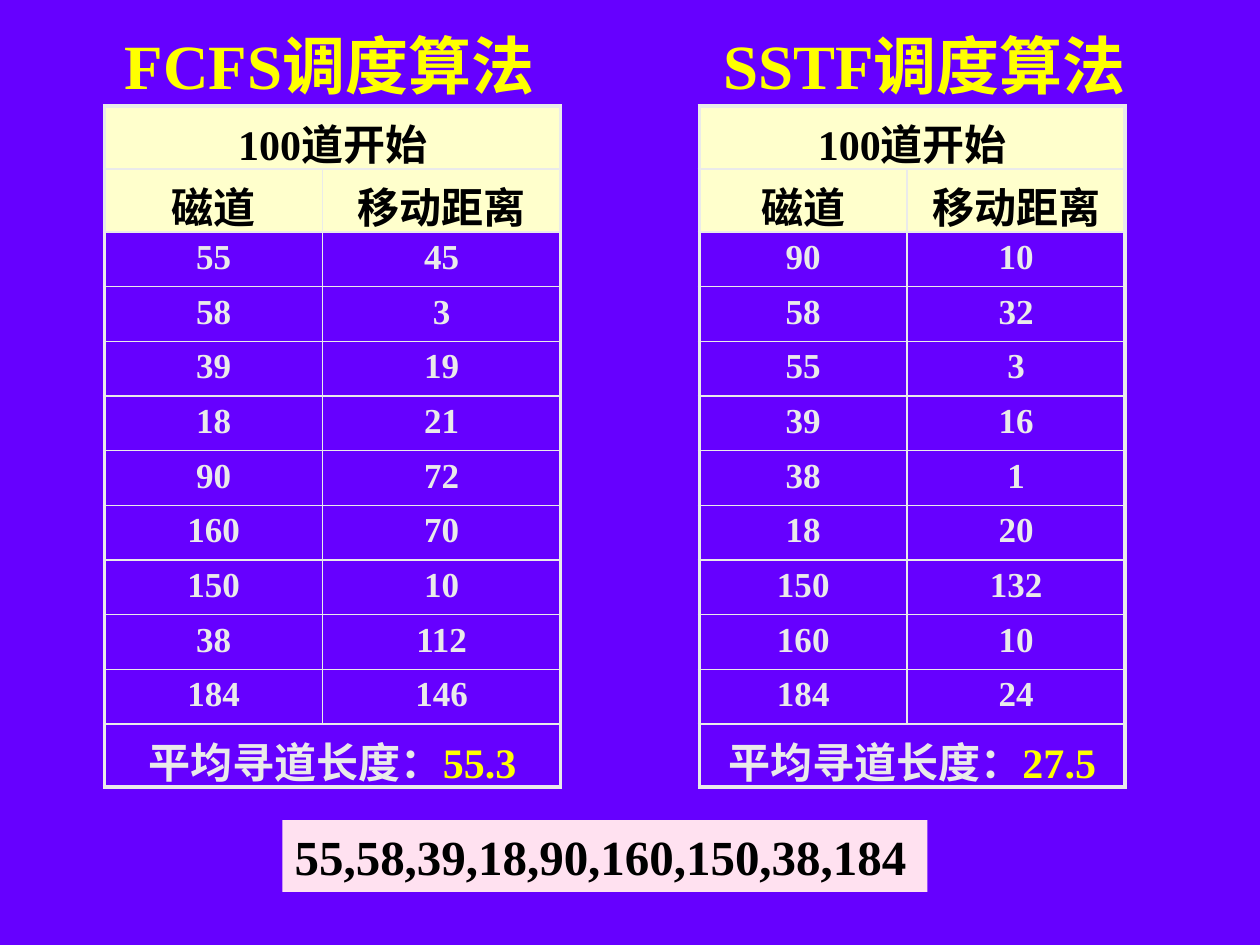
"""Compare FCFS and SSTF disk scheduling on one slide."""
from lxml.etree import SubElement
from pptx import Presentation
from pptx.dml.color import RGBColor
from pptx.enum.shapes import MSO_SHAPE
from pptx.enum.text import MSO_ANCHOR, PP_ALIGN
from pptx.oxml.ns import qn
from pptx.util import Inches, Pt

REQUESTS = "55,58,39,18,90,160,150,38,184"
START = 100
FCFS_ORDER = [int(track) for track in REQUESTS.split(",")]
FCFS_MOVES = [45, 3, 19, 21, 72, 70, 10, 112, 146]
SSTF_ORDER = [90, 58, 55, 39, 38, 18, 150, 160, 184]
SSTF_MOVES = [10, 32, 3, 16, 1, 20, 132, 10, 24]


def rgb(code):
    return RGBColor.from_string(code)


class SchedulingSlide:
    """Holds the style and the current slide."""

    typeface = "Times New Roman"
    ground, header, strip = "6600FF", "FFFFCC", "FFE1F0"
    dark, light, accent = "000000", "EAEAEA", "FFFF00"
    outer, inner = 2.25, 1

    def __init__(self, deck):
        self.slide = deck.slides.add_slide(deck.slide_layouts[6])
        background = self.slide.background.fill
        background.solid()
        background.fore_color.rgb = rgb(self.ground)

    def style(self, paragraph, size, color, align=PP_ALIGN.LEFT):
        paragraph.alignment = align
        font = paragraph.font
        font.name, font.size, font.bold = self.typeface, Pt(size), True
        font.color.rgb = rgb(color)

    def headings(self, first, second):
        frame = self.slide.shapes.add_textbox(
            Inches(0.27), Inches(0.21), Inches(9.21), Inches(0.6)).text_frame
        frame.word_wrap = True
        frame.vertical_anchor = MSO_ANCHOR.MIDDLE
        frame.margin_left, frame.margin_right = Inches(0.72), 0
        heading = frame.paragraphs[0]
        heading.text = f"{first}\t{second}"
        stops = SubElement(heading._p.get_or_add_pPr(), qn("a:tabLst"))
        SubElement(stops, qn("a:tab"), pos=str(Inches(4.75)), algn="l")
        self.style(heading, 36, self.accent)

    def borders(self, cell, widths):
        properties = cell._tc.get_or_add_tcPr()
        for side, width in zip("LRTB", widths):
            line = SubElement(properties, qn(f"a:ln{side}"), w=str(Pt(width)))
            fill = SubElement(line, qn("a:solidFill"))
            SubElement(fill, qn("a:srgbClr"), val=self.light)

    def cell(self, cell, text, size, color, fill=None):
        if fill:
            cell.fill.solid()
            cell.fill.fore_color.rgb = rgb(fill)
        else:
            cell.fill.background()
        paragraph = cell.text_frame.paragraphs[0]
        paragraph.text = text
        self.style(paragraph, size, color, PP_ALIGN.CENTER)

    def seek_table(self, left, widths, order, moves, average):
        rows = [("磁道", "移动距离"), *zip(order, moves)]
        last = len(rows) + 1
        table = self.slide.shapes.add_table(
            last + 1, 2, Inches(left), Inches(0.84),
            Inches(sum(widths)), Inches(5.4)).table
        table.first_row = table.horz_banding = False
        for column, width in zip(table.columns, widths):
            column.width = Inches(width)
        for index, row in enumerate(table.rows):
            row.height = Inches(0.5 if index in (0, 1, last) else 0.43)
            spans = index in (0, last)
            for side, cell in enumerate(row.cells):
                edges = (spans or side == 0, spans or side == 1,
                         index == 0, index == last)
                self.borders(cell, [self.outer if edge else self.inner
                                    for edge in edges])
            if spans:
                table.cell(index, 0).merge(table.cell(index, 1))
        self.cell(table.cell(0, 0), f"{START}道开始", 24, self.dark, self.header)
        for index, values in enumerate(rows, 1):
            look = (24, self.dark, self.header) if index == 1 else (20, self.light)
            for side, value in enumerate(values):
                self.cell(table.cell(index, side), str(value), *look)
        summary = table.cell(last, 0)
        self.cell(summary, "平均寻道长度：", 24, self.light)
        result = summary.text_frame.paragraphs[0].add_run()
        result.text = average
        result.font.color.rgb = rgb(self.accent)

    def request_strip(self, text):
        strip = self.slide.shapes.add_shape(
            MSO_SHAPE.RECTANGLE, Inches(2.24), Inches(6.51),
            Inches(5.12), Inches(0.57))
        strip.shadow.inherit = False
        strip.fill.solid()
        strip.fill.fore_color.rgb = rgb(self.strip)
        strip.line.fill.background()
        frame = strip.text_frame
        frame.word_wrap = True
        frame.vertical_anchor = MSO_ANCHOR.MIDDLE
        frame.paragraphs[0].text = text
        self.style(frame.paragraphs[0], 28, self.dark)


def main():
    deck = Presentation()
    deck.slide_width, deck.slide_height = Inches(10), Inches(7.5)
    page = SchedulingSlide(deck)
    page.headings("FCFS调度算法", "SSTF调度算法")
    page.seek_table(0.83, (1.73, 1.89), FCFS_ORDER, FCFS_MOVES, "55.3")
    page.seek_table(5.55, (1.65, 1.73), SSTF_ORDER, SSTF_MOVES, "27.5")
    page.request_strip(REQUESTS)
    deck.save("out.pptx")


if __name__ == "__main__":
    main()
